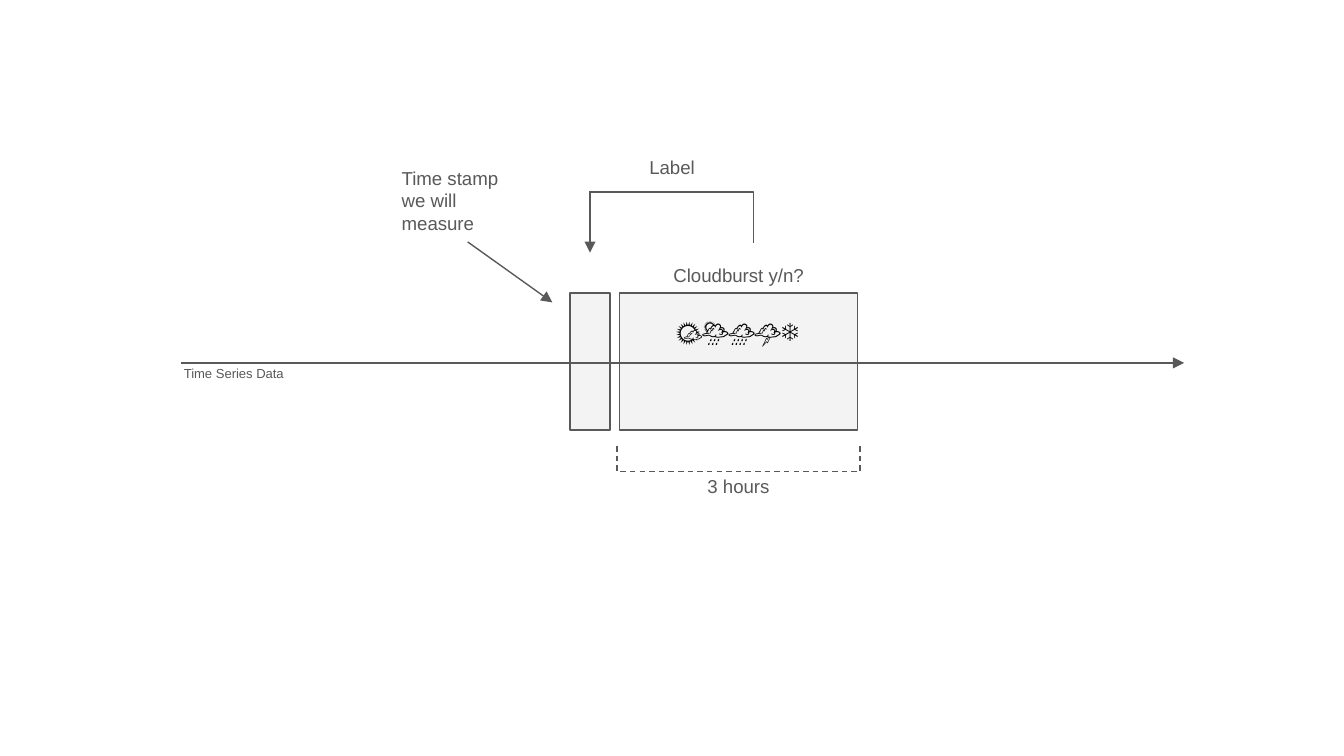
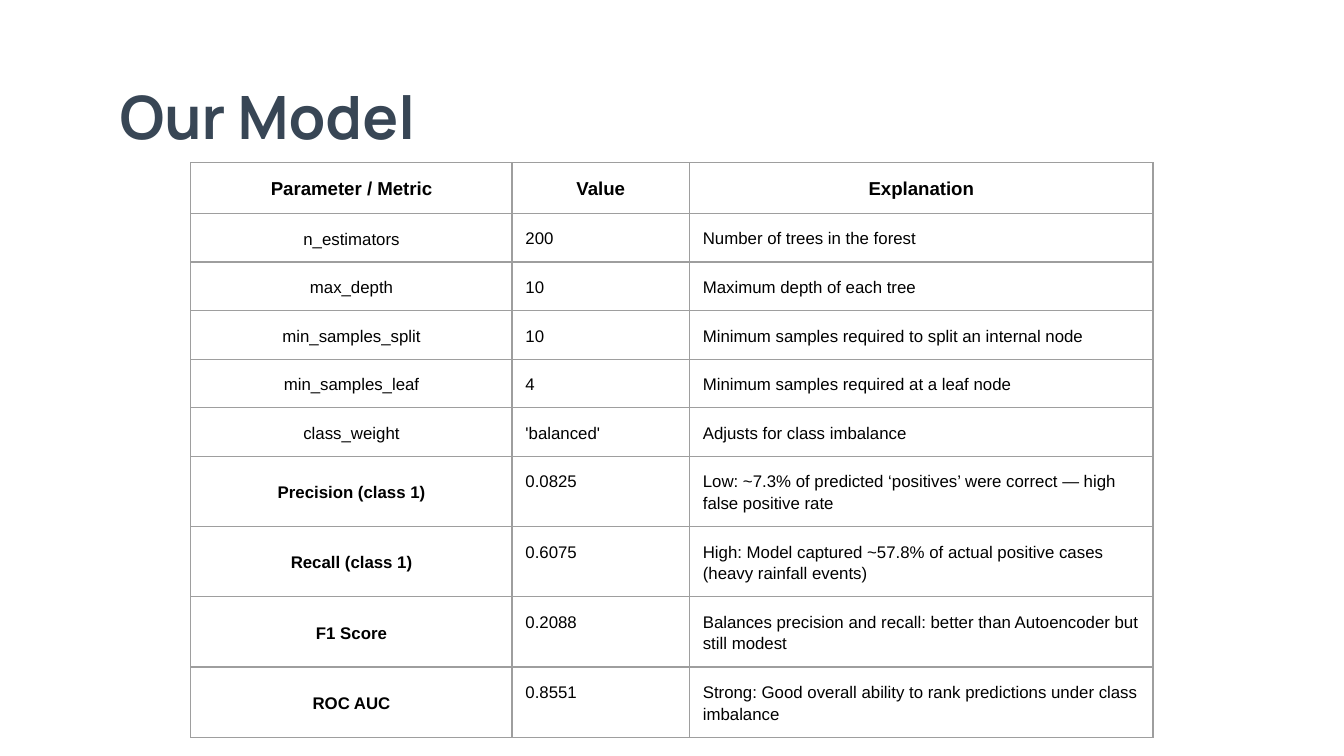
from dataclasses import dataclass
from typing import Any, Optional

from lxml.etree import SubElement
from pptx import Presentation
from pptx.dml.color import RGBColor
from pptx.enum.dml import MSO_LINE
from pptx.enum.shapes import MSO_CONNECTOR, MSO_SHAPE
from pptx.enum.text import MSO_ANCHOR, MSO_AUTO_SIZE, PP_ALIGN
from pptx.oxml.ns import qn
from pptx.util import Emu, Inches, Pt

# Grid: 100 columns by 56.25 rows of square units
UNIT = Inches(0.1)
COLUMNS, ROWS = 100, 56.25

# Shared look
INK, PANEL, BLACK = "595959", "F3F3F3", "000000"
TITLE_COLOUR, BORDER_COLOUR = "384655", "9E9E9E"
BODY_FONT, TITLE_FONT = "Arial", "Manrope"
LINE_WIDTH = Pt(0.75)
MARGINS = {f"margin_{side}": UNIT for side in ("left", "top", "right", "bottom")}

Point = tuple[float, float]


@dataclass(frozen=True)
class Box:
    left: float
    top: float
    width: float
    height: float

    @property
    def right(self) -> float:
        return self.left + self.width

    @property
    def bottom(self) -> float:
        return self.top + self.height

    @property
    def middle(self) -> float:
        return self.left + self.width / 2

    def lengths(self) -> list[Emu]:
        return [units(n) for n in (self.left, self.top, self.width, self.height)]


@dataclass(frozen=True)
class Label:
    text: str
    box: Box
    size: float = 10
    colour: str = INK
    alignment: PP_ALIGN = PP_ALIGN.CENTER
    auto_size: MSO_AUTO_SIZE = MSO_AUTO_SIZE.NONE


@dataclass(frozen=True)
class Outline:
    points: tuple[Point, ...]
    dash: Optional[MSO_LINE] = None


@dataclass(frozen=True)
class Arrow:
    start: Point
    end: Point


def units(count: float) -> Emu:
    return Emu(round(count * UNIT))


def colour(value: str) -> RGBColor:
    return RGBColor.from_string(value)


def apply(target: Any, values: dict[str, Any]) -> None:
    for name, value in values.items():
        setattr(target, name, value)


def write(frame: Any, text: str, font_values: dict[str, Any], font_colour: str,
          paragraph_values: dict[str, Any]) -> None:
    paragraph = frame.paragraphs[0]
    run = paragraph.add_run()
    run.text = text
    apply(paragraph, paragraph_values)
    apply(run.font, font_values)
    run.font.color.rgb = colour(font_colour)


def draw_line(shape: Any) -> None:
    shape.line.color.rgb = colour(INK)
    shape.line.width = LINE_WIDTH


def draw_panel(slide: Any, box: Box) -> None:
    shape = slide.shapes.add_shape(MSO_SHAPE.RECTANGLE, *box.lengths())
    shape.shadow.inherit = False
    shape.fill.solid()
    shape.fill.fore_color.rgb = colour(PANEL)
    draw_line(shape)


def draw_label(slide: Any, label: Label) -> None:
    frame = slide.shapes.add_textbox(*label.box.lengths()).text_frame
    apply(frame, {"word_wrap": True, "auto_size": label.auto_size, **MARGINS})
    write(frame, label.text, {"name": BODY_FONT, "size": Pt(label.size)},
          label.colour, {"alignment": label.alignment})


def draw_outline(slide: Any, outline: Outline) -> None:
    first, *others = [(units(x), units(y)) for x, y in outline.points]
    builder = slide.shapes.build_freeform(*first)
    builder.add_line_segments(others, close=False)
    shape = builder.convert_to_shape()
    shape.shadow.inherit = False
    shape.fill.background()
    draw_line(shape)
    if outline.dash:
        shape.line.dash_style = outline.dash


def draw_arrow(slide: Any, arrow: Arrow) -> None:
    ends = [units(n) for n in (*arrow.start, *arrow.end)]
    connector = slide.shapes.add_connector(MSO_CONNECTOR.STRAIGHT, *ends)
    draw_line(connector)
    properties = connector.element.spPr
    SubElement(properties.find(qn("a:ln")), qn("a:tailEnd"), type="triangle")
    SubElement(properties, qn("a:effectLst"))


def border_cell(cell: Any) -> None:
    properties = cell._tc.get_or_add_tcPr()
    for side in ("lnL", "lnR", "lnT", "lnB"):
        line = SubElement(properties, qn(f"a:{side}"), w=str(LINE_WIDTH))
        fill = SubElement(line, qn("a:solidFill"))
        SubElement(fill, qn("a:srgbClr"), val=BORDER_COLOUR)


# Time line slide
STAMP = Box(42.4, 21.8, 3, 10.2)
WINDOW = Box(46.1, 21.8, 17.7, 10.2)
BRACKET_GAP, BRACKET_TOP, BRACKET_BOTTOM = 0.2, 33.2, 35.1
LINK_TOP, LINK_RIGHT = 14.3, 56.05
TIMELINE = 27

WINDOW_LABELS = (
    Label("Cloudburst y/n?", Box(48.9, 18.6, 12.1, 3.8)),
    Label("🌤️🌦️🌧️🌩️❄️", Box(47.4, 22.5, 15, 4.4), 14, BLACK,
          auto_size=MSO_AUTO_SIZE.SHAPE_TO_FIT_TEXT),
    Label("3 hours", Box(48.8, 34.3, 12.3, 2.6)),
)
OTHER_LABELS = (
    Label("Time stamp we will measure", Box(28.9, 11.4, 9.8, 10.2),
          alignment=PP_ALIGN.LEFT),
    Label("Time Series Data", Box(9.9, 26.2, 15, 3.8), 7),
    Label("Label", Box(44.9, 10.6, 10.2, 3.2)),
)
BRACKET_LEFT, BRACKET_RIGHT = WINDOW.left - BRACKET_GAP, WINDOW.right + BRACKET_GAP
OUTLINES = (
    Outline(((BRACKET_LEFT, BRACKET_TOP), (BRACKET_LEFT, BRACKET_BOTTOM),
             (BRACKET_RIGHT, BRACKET_BOTTOM), (BRACKET_RIGHT, BRACKET_TOP)),
            MSO_LINE.DASH),
    Outline(((LINK_RIGHT, 18.1), (LINK_RIGHT, LINK_TOP), (STAMP.middle, LINK_TOP))),
)
ARROWS = (
    Arrow((STAMP.middle, 14.2), (STAMP.middle, 18.8)),
    Arrow((13.5, TIMELINE), (88.1, TIMELINE)),
    Arrow((34.8, 18), (41.1, 22.5)),
)


def build_timeline(presentation: Any) -> None:
    slide = presentation.slides.add_slide(presentation.slide_layouts[6])
    for panel in (STAMP, WINDOW):
        draw_panel(slide, panel)
    for label in WINDOW_LABELS + OTHER_LABELS:
        draw_label(slide, label)
    for outline in OUTLINES:
        draw_outline(slide, outline)
    for arrow in ARROWS:
        draw_arrow(slide, arrow)


# Model slide
TITLE_BOX = Box(7.9, 4.9, 79.8, 6.3)
TABLE_LEFT, TABLE_TOP = 14.2, 12.1
COLUMN_WIDTHS = (23.9, 13.2, 34.5)
ROW_HEIGHT, TALL_ROW_HEIGHT = 3.1, 5.1
TALL_ROW = "Precision (class 1)"
HEADER = ("Parameter / Metric", "Value", "Explanation")
PARAMETERS = (
    ("n_estimators", "200", "Number of trees in the forest"),
    ("max_depth", "10", "Maximum depth of each tree"),
    ("min_samples_split", "10", "Minimum samples required to split an internal node"),
    ("min_samples_leaf", "4", "Minimum samples required at a leaf node"),
    ("class_weight", "'balanced'", "Adjusts for class imbalance"),
)
METRICS = (
    (TALL_ROW, "0.0825",
     "Low: ~7.3% of predicted ‘positives’ were correct — high false positive rate"),
    ("Recall (class 1)", "0.6075",
     "High: Model captured ~57.8% of actual positive cases (heavy rainfall events)"),
    ("F1 Score", "0.2088",
     "Balances precision and recall: better than Autoencoder but still modest"),
    ("ROC AUC", "0.8551",
     "Strong: Good overall ability to rank predictions under class imbalance"),
)


def draw_title(slide: Any, text: str) -> None:
    title = slide.shapes.title
    apply(title, dict(zip(("left", "top", "width", "height"), TITLE_BOX.lengths())))
    apply(title.text_frame, {"word_wrap": True, "auto_size": MSO_AUTO_SIZE.NONE,
                             "vertical_anchor": MSO_ANCHOR.TOP, **MARGINS})
    write(title.text_frame, text, {"name": TITLE_FONT, "size": Pt(32), "bold": True},
          TITLE_COLOUR, {"alignment": PP_ALIGN.LEFT})


def draw_cell(cell: Any, text: str, is_header: bool, is_name: bool, bold: bool) -> None:
    centred = is_header or is_name
    middle = is_name and not is_header
    border_cell(cell)
    cell.fill.background()
    apply(cell, {"vertical_anchor": MSO_ANCHOR.MIDDLE if middle else MSO_ANCHOR.TOP,
                 **MARGINS})
    write(cell.text_frame, text,
          {"name": BODY_FONT, "size": Pt(10 if is_header else 9), "bold": bold}, BLACK,
          {"alignment": PP_ALIGN.CENTER if centred else PP_ALIGN.LEFT,
           "line_spacing": 1.15, "space_after": Pt(12)})


def draw_table(slide: Any) -> None:
    rows = (HEADER, *PARAMETERS, *METRICS)
    heights = [TALL_ROW_HEIGHT if row[0] == TALL_ROW else ROW_HEIGHT for row in rows]
    box = Box(TABLE_LEFT, TABLE_TOP, sum(COLUMN_WIDTHS), sum(heights))
    table = slide.shapes.add_table(len(rows), len(HEADER), *box.lengths()).table
    apply(table, {"first_row": False, "horz_banding": False})
    for column, width in zip(table.columns, COLUMN_WIDTHS):
        column.width = units(width)
    for row_index, (values, height) in enumerate(zip(rows, heights)):
        table.rows[row_index].height = units(height)
        is_header = values is HEADER
        for column_index, text in enumerate(values):
            is_name = column_index == 0
            bold = is_header or (is_name and values in METRICS)
            draw_cell(table.cell(row_index, column_index), text, is_header, is_name, bold)


def build_model(presentation: Any) -> None:
    slide = presentation.slides.add_slide(presentation.slide_layouts[5])
    draw_title(slide, "Our Model")
    draw_table(slide)


def main() -> None:
    presentation = Presentation()
    apply(presentation, {"slide_width": units(COLUMNS), "slide_height": units(ROWS)})
    build_timeline(presentation)
    build_model(presentation)
    presentation.save("out.pptx")


if __name__ == "__main__":
    main()
